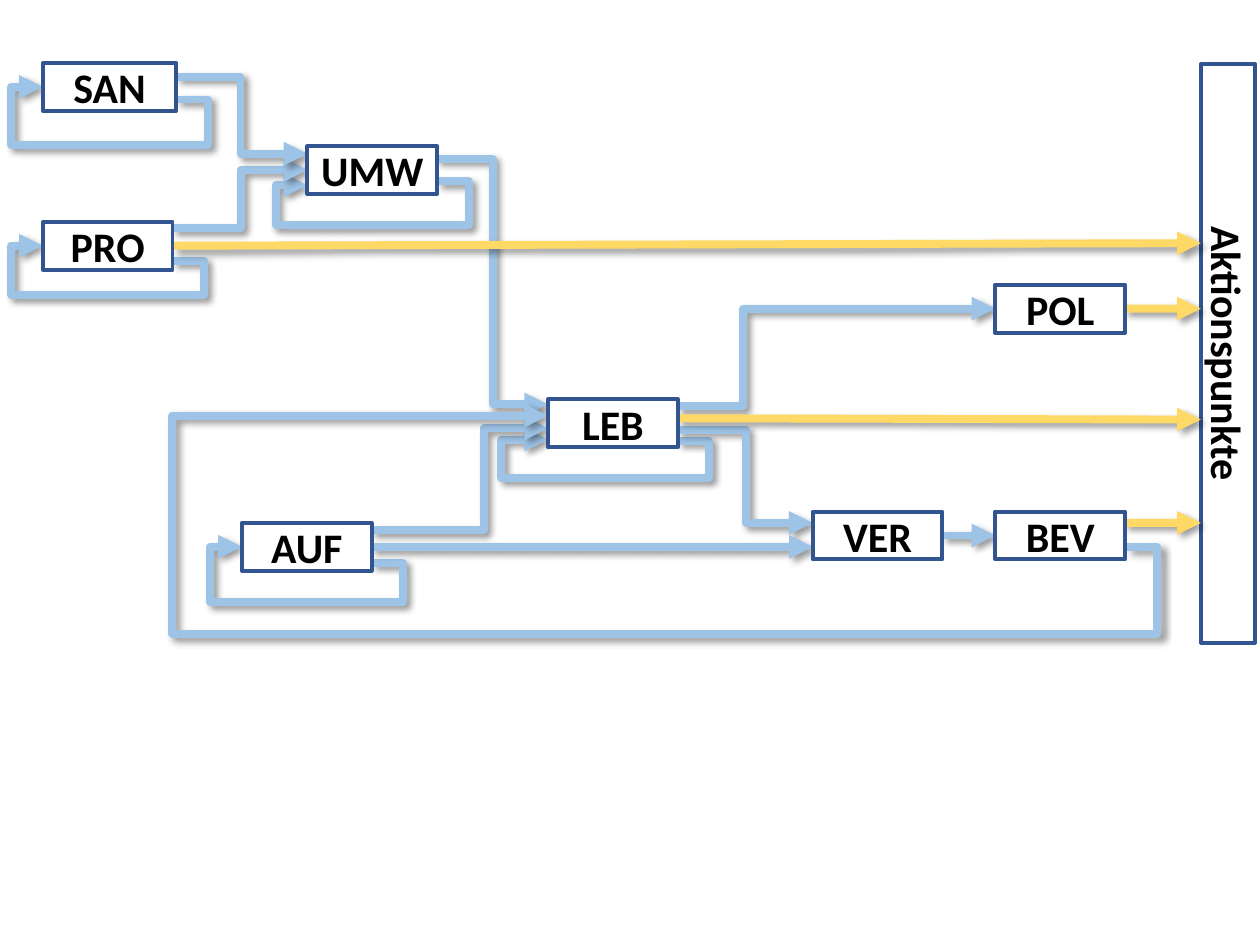
from lxml import etree
from pptx import Presentation
from pptx.dml.color import RGBColor
from pptx.enum.shapes import MSO_CONNECTOR, MSO_SHAPE
from pptx.enum.text import MSO_ANCHOR, PP_ALIGN
from pptx.oxml import parse_xml
from pptx.oxml.ns import nsdecls, qn
from pptx.util import Inches, Pt

RECT = MSO_SHAPE.RECTANGLE
STRAIGHT, ELBOW = MSO_CONNECTOR.STRAIGHT, MSO_CONNECTOR.ELBOW
MIDDLE, CENTER = MSO_ANCHOR.MIDDLE, PP_ALIGN.CENTER

COLORS = {"box": "FFFFFF", "border": "325491", "text": "000000",
          "flow": "9DC3E6", "action": "FFD966", "shadow": "000000"}
NODE_W, NODE_H = 1.03, 0.38
LOOP_OUT = 0.25

# Left, top and width of each node
NODES = {
    "SAN": (0.34, 0.5, 1.06), "AUF": (1.92, 4.15, NODE_W),
    "PRO": (0.34, 1.76, NODE_W), "UMW": (2.44, 1.16, NODE_W),
    "POL": (7.9, 2.26, NODE_W), "VER": (6.45, 4.06, NODE_W),
    "BEV": (7.9, 4.06, NODE_W), "LEB": (4.35, 3.17, NODE_W),
}
# Exit, floor and entry below the node's top, and reach to the left
LOOPS = {
    "AUF": (0.32, 0.63, 0.19, LOOP_OUT), "LEB": (0.33, 0.63, 0.32, 0.37),
    "SAN": (0.29, 0.65, 0.19, LOOP_OUT), "PRO": (0.31, 0.58, 0.19, LOOP_OUT),
    "UMW": (0.28, 0.63, 0.31, LOOP_OUT),
}
# Source and its exit, target and its entry, bends: x, or x, y, x
FLOWS = [
    ("AUF", 0.06, "LEB", 0.23, [3.84]),
    ("LEB", 0.24, "VER", 0.09, [5.92]),
    ("LEB", 0.05, "POL", 0.19, [5.9]),
    ("PRO", 0.05, "UMW", 0.19, [1.91]),
    ("SAN", 0.11, "UMW", 0.06, [1.91]),
    ("UMW", 0.1, "LEB", 0.04, [3.91]),
    ("AUF", 0.19, "VER", 0.28, []),
    ("VER", 0.19, "BEV", 0.19, []),
    ("BEV", 0.28, "LEB", 0.13, [9.18, 5.03, 1.37]),
]
# Source, its exit and the height at which the bar is reached
ACTIONS = [("PRO", 0.19, 1.93), ("BEV", 0.09, 4.15),
           ("POL", 0.19, 2.45), ("LEB", 0.15, 3.33)]
ACTION_X = 9.53


def rgb(name):
    return RGBColor.from_string(COLORS[name])


def add_text(sp, text, size=24, bold=True, color="text", font="Calibri"):
    tf = sp.text_frame
    tf.vertical_anchor = MIDDLE
    tf.word_wrap = True
    p = tf.paragraphs[0]
    p.alignment = CENTER
    r = p.add_run()
    r.text = text
    r.font.size, r.font.bold, r.font.name = Pt(size), bold, font
    r.font.color.rgb = rgb(color)


def add_box(s, text, x, y, w, h, rotation=0):
    sp = s.shapes.add_shape(RECT, Inches(x), Inches(y), Inches(w), Inches(h))
    sp.shadow.inherit = False
    sp.rotation = rotation
    sp.fill.solid()
    sp.fill.fore_color.rgb = rgb("box")
    sp.line.color.rgb = rgb("border")
    sp.line.width = Pt(2.25)
    add_text(sp, text)


def add_arrow(s, start, end, bends=(), color="flow"):
    """Draw a straight arrow, or one that turns at x, or at x, y, x."""
    kind = ELBOW if bends else STRAIGHT
    c = s.shapes.add_connector(kind, *map(Inches, start + end))
    c.line.color.rgb = rgb(color)
    c.line.width = Pt(4.5)
    etree.SubElement(c.line._get_or_add_ln(), qn("a:tailEnd"), type="triangle")
    sp_pr = c._element.spPr
    sp_pr.append(parse_xml(
        f'<a:effectLst {nsdecls("a")}><a:outerShdw blurRad="{Pt(4)}" '
        f'dist="{Pt(3)}" dir="2700000" algn="tl" rotWithShape="0">'
        f'<a:srgbClr val="{COLORS["shadow"]}"><a:alpha val="40000"/>'
        '</a:srgbClr></a:outerShdw></a:effectLst>'))
    if bends:
        geom = sp_pr.find(qn("a:prstGeom"))
        geom.set("prst", f"bentConnector{len(bends) + 2}")
        guides = geom.get_or_add_avLst()
        for i, bend in enumerate(bends):
            axis = i % 2
            ratio = (bend - start[axis]) / (end[axis] - start[axis])
            etree.SubElement(guides, qn("a:gd"), name=f"adj{i + 1}",
                             fmla=f"val {round(ratio * 100000)}")


def exit_point(name, dy):
    x, y, w = NODES[name]
    return x + w, y + dy


def entry_point(name, dy):
    x, y, _ = NODES[name]
    return x, y + dy


def add_loop(s, name, leave, floor, enter, reach):
    x, y, w = NODES[name]
    add_arrow(s, exit_point(name, leave), entry_point(name, enter),
              [x + w + LOOP_OUT, y + floor, x - reach])


def add_action_bar(s, x, y, w, h):
    """Place the upright bar; its box is turned about its centre."""
    add_box(s, "Aktionspunkte", x + (w - h) / 2, y + (h - w) / 2, h, w, 90)


def build_network(s):
    # Feedback of a node on itself
    for name, loop in LOOPS.items():
        add_loop(s, name, *loop)
    # Effects between nodes
    for source, leave, target, enter, bends in FLOWS:
        add_arrow(s, exit_point(source, leave),
                  entry_point(target, enter), bends)
    # Action points
    add_action_bar(s, 9.53, 0.51, 0.43, 4.59)
    for source, leave, y in ACTIONS:
        add_arrow(s, exit_point(source, leave), (ACTION_X, y), color="action")
    # Nodes cover the line ends
    for name, (x, y, w) in NODES.items():
        add_box(s, name, x, y, w, NODE_H)


prs = Presentation()
prs.slide_width, prs.slide_height = Inches(10), Inches(7.5)
s = prs.slides.add_slide(prs.slide_layouts[6])
build_network(s)
prs.save("out.pptx")
